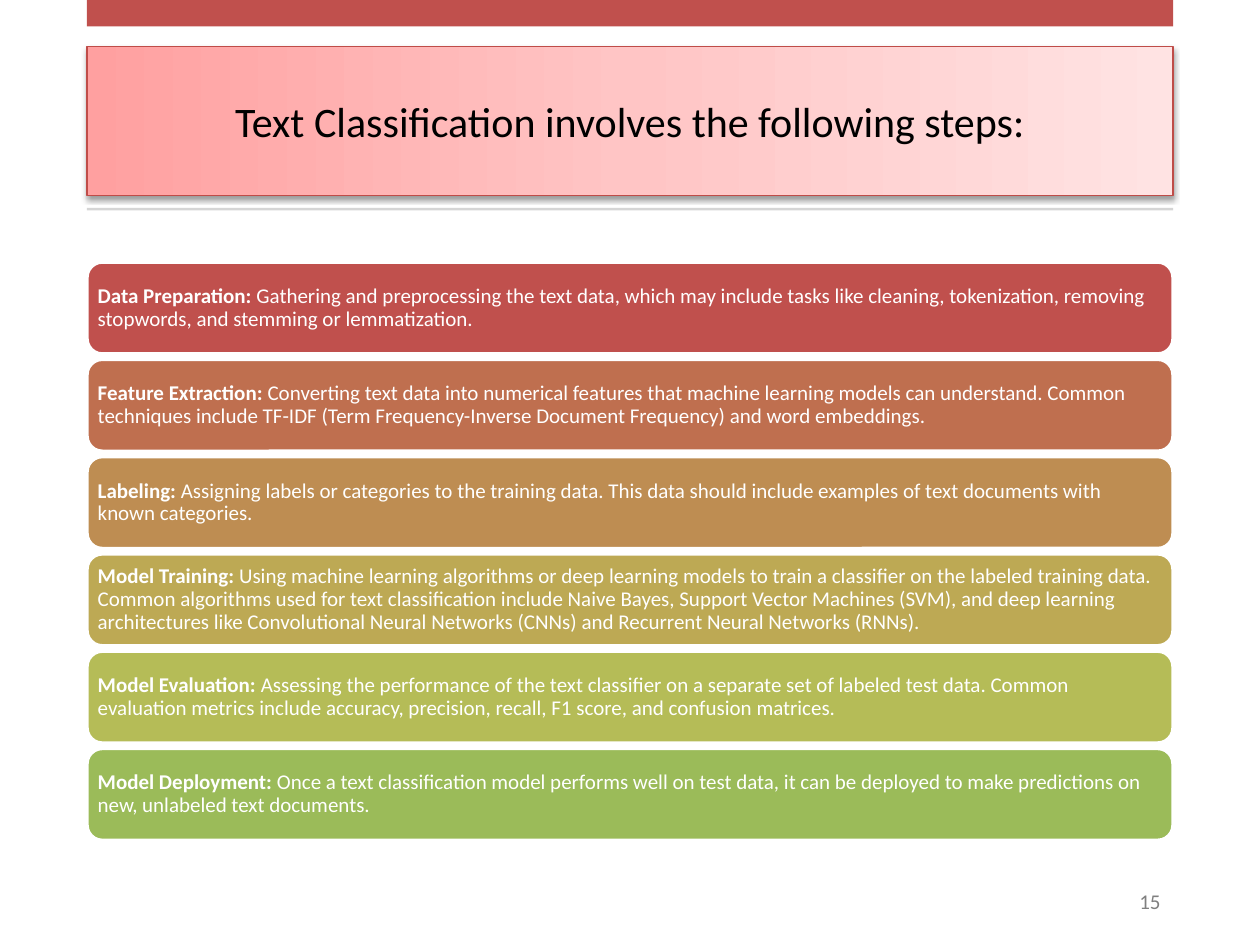
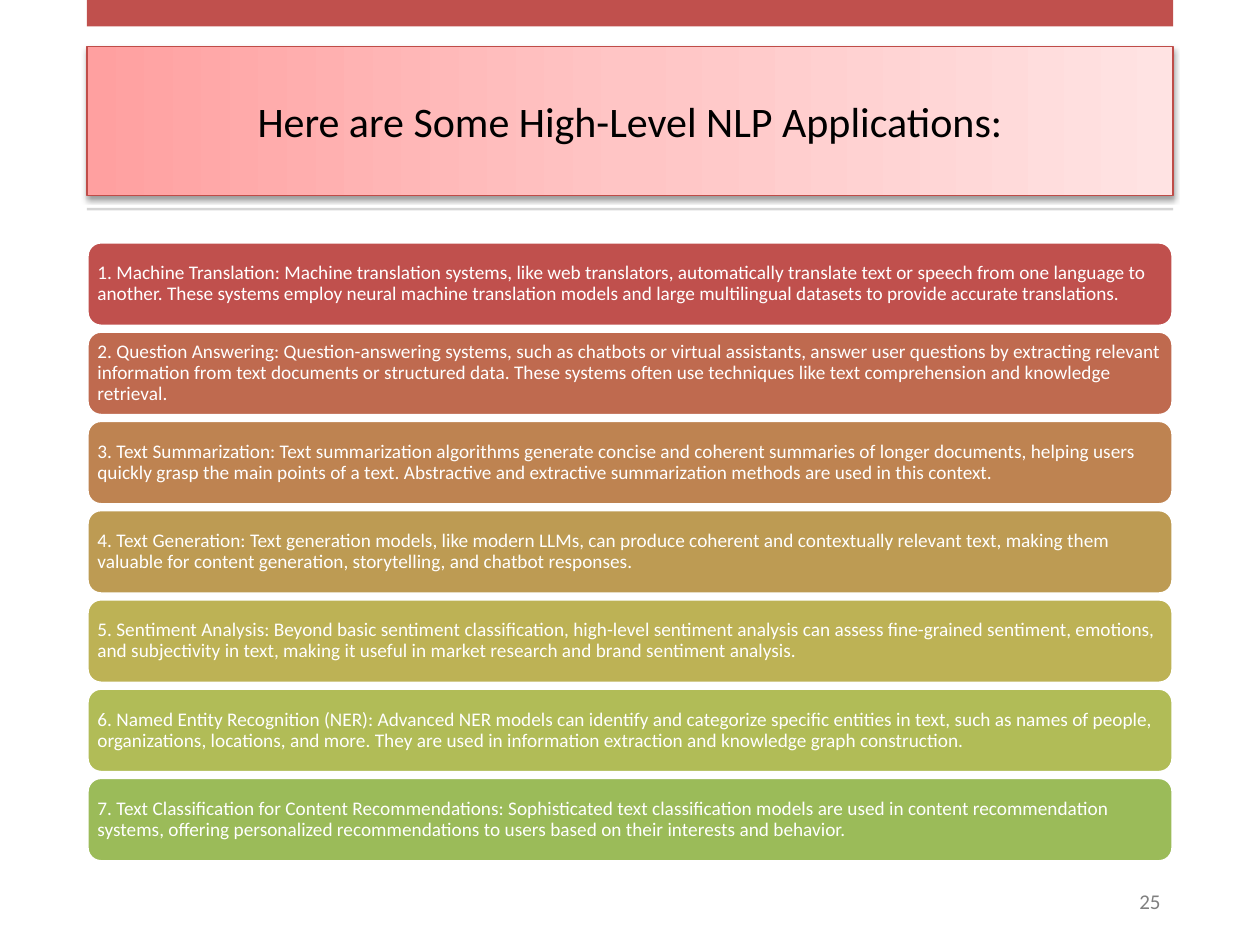
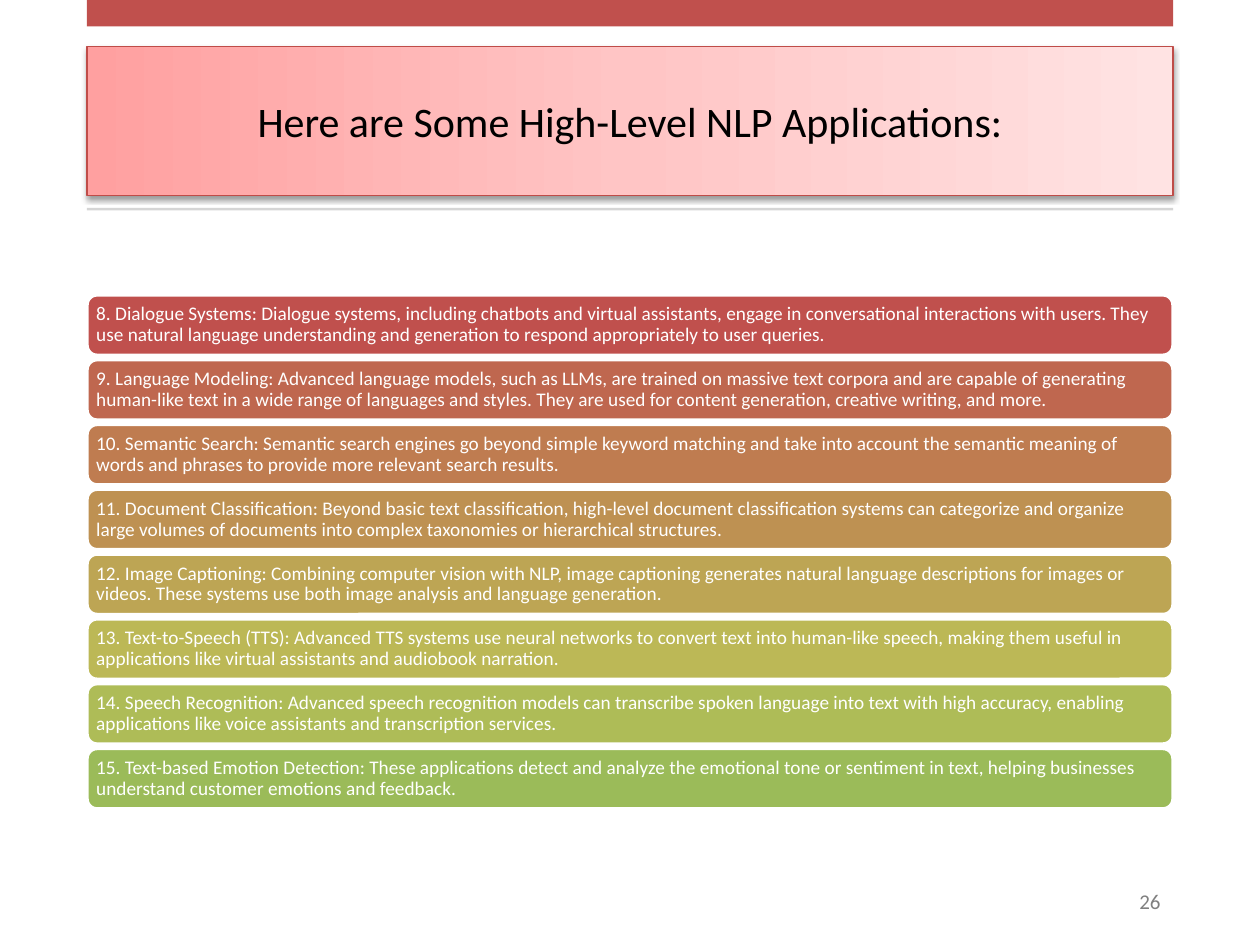
"""Build three slides of text classification steps and NLP applications."""
from colorsys import hls_to_rgb, rgb_to_hls
from dataclasses import dataclass

from lxml import etree
from pptx import Presentation
from pptx.dml.color import RGBColor
from pptx.enum.shapes import MSO_SHAPE
from pptx.enum.text import MSO_ANCHOR, PP_ALIGN
from pptx.oxml import parse_xml
from pptx.oxml.ns import nsdecls
from pptx.util import Inches, Pt

RECTANGLE = MSO_SHAPE.RECTANGLE
ROUNDED = MSO_SHAPE.ROUNDED_RECTANGLE
MIDDLE = MSO_ANCHOR.MIDDLE
LEFT, CENTER, RIGHT = PP_ALIGN.LEFT, PP_ALIGN.CENTER, PP_ALIGN.RIGHT


@dataclass(frozen=True)
class Theme:
    font: str = "Calibri"
    band: str = "C0504D"
    rule: str = "D5D5D5"
    title_text: str = "000000"
    title_line: str = "BF4C48"
    title_gradient: tuple = ((0, "FFA0A0"), (50, "FFC5C5"), (100, "FFE3E3"))
    first_card: str = "C0504D"
    last_card: str = "9BBB59"
    card_text: str = "FFFFFF"
    card_line: str = "FFFFFF"
    number_text: str = "808080"
    title_size: int = 24
    number_size: int = 12
    margin: float = 0.69
    width: float = 8.62


THEME = Theme()

SLIDES = [
    {
        "title": "Text Classification involves the following steps:",
        "number": "15", "top": 2.08, "bottom": 6.67, "card_height": 0.73,
        "text_size": 12, "bold_lead": True,
        "cards": [
            "Data Preparation: Gathering and preprocessing the text data, which may include tasks like cleaning, tokenization, removing stopwords, and stemming or lemmatization.",
            "Feature Extraction: Converting text data into numerical features that machine learning models can understand. Common techniques include TF-IDF (Term Frequency-Inverse Document Frequency) and word embeddings.",
            "Labeling: Assigning labels or categories to the training data. This data should include examples of text documents with known categories.",
            "Model Training: Using machine learning algorithms or deep learning models to train a classifier on the labeled training data. Common algorithms used for text classification include Naive Bayes, Support Vector Machines (SVM), and deep learning architectures like Convolutional Neural Networks (CNNs) and Recurrent Neural Networks (RNNs).",
            "Model Evaluation: Assessing the performance of the text classifier on a separate set of labeled test data. Common evaluation metrics include accuracy, precision, recall, F1 score, and confusion matrices.",
            "Model Deployment: Once a text classification model performs well on test data, it can be deployed to make predictions on new, unlabeled text documents.",
        ],
    },
    {
        "title": "Here are Some High-Level NLP Applications:",
        "number": "25", "top": 1.92, "bottom": 6.84, "card_height": 0.67,
        "text_size": 11, "bold_lead": False,
        "cards": [
            "1. Machine Translation: Machine translation systems, like web translators, automatically translate text or speech from one language to another. These systems employ neural machine translation models and large multilingual datasets to provide accurate translations.",
            "2. Question Answering: Question-answering systems, such as chatbots or virtual assistants, answer user questions by extracting relevant information from text documents or structured data. These systems often use techniques like text comprehension and knowledge retrieval.",
            "3. Text Summarization: Text summarization algorithms generate concise and coherent summaries of longer documents, helping users quickly grasp the main points of a text. Abstractive and extractive summarization methods are used in this context.",
            "4. Text Generation: Text generation models, like modern LLMs, can produce coherent and contextually relevant text, making them valuable for content generation, storytelling, and chatbot responses.",
            "5. Sentiment Analysis: Beyond basic sentiment classification, high-level sentiment analysis can assess fine-grained sentiment, emotions, and subjectivity in text, making it useful in market research and brand sentiment analysis.",
            "6. Named Entity Recognition (NER): Advanced NER models can identify and categorize specific entities in text, such as names of people, organizations, locations, and more. They are used in information extraction and knowledge graph construction.",
            "7. Text Classification for Content Recommendations: Sophisticated text classification models are used in content recommendation systems, offering personalized recommendations to users based on their interests and behavior.",
        ],
    },
    {
        "title": "Here are Some High-Level NLP Applications:",
        "number": "26", "top": 2.34, "bottom": 6.42, "card_height": 0.48,
        "text_size": 11, "bold_lead": False,
        "cards": [
            "8. Dialogue Systems: Dialogue systems, including chatbots and virtual assistants, engage in conversational interactions with users. They use natural language understanding and generation to respond appropriately to user queries.",
            "9. Language Modeling: Advanced language models, such as LLMs, are trained on massive text corpora and are capable of generating human-like text in a wide range of languages and styles. They are used for content generation, creative writing, and more.",
            "10. Semantic Search: Semantic search engines go beyond simple keyword matching and take into account the semantic meaning of words and phrases to provide more relevant search results.",
            "11. Document Classification: Beyond basic text classification, high-level document classification systems can categorize and organize large volumes of documents into complex taxonomies or hierarchical structures.",
            "12. Image Captioning: Combining computer vision with NLP, image captioning generates natural language descriptions for images or videos. These systems use both image analysis and language generation.",
            "13. Text-to-Speech (TTS): Advanced TTS systems use neural networks to convert text into human-like speech, making them useful in applications like virtual assistants and audiobook narration.",
            "14. Speech Recognition: Advanced speech recognition models can transcribe spoken language into text with high accuracy, enabling applications like voice assistants and transcription services.",
            "15. Text-based Emotion Detection: These applications detect and analyze the emotional tone or sentiment in text, helping businesses understand customer emotions and feedback.",
        ],
    },
]


def write_text(shape, text, *, size, color, align=LEFT, inset=None, line_spacing=None, bold_lead=False):
    frame = shape.text_frame
    frame.word_wrap = True
    frame.vertical_anchor = MIDDLE
    if inset is not None:
        frame.margin_left = frame.margin_right = Inches(inset)
        frame.margin_top = frame.margin_bottom = Inches(inset)
    paragraph = frame.paragraphs[0]
    paragraph.alignment = align
    if line_spacing:
        paragraph.line_spacing = line_spacing
    lead, colon, rest = text.partition(":")
    pieces = [(lead + colon, True), (rest, False)] if bold_lead else [(text, False)]
    for piece, bold in pieces:
        run = paragraph.add_run()
        run.text = piece
        run.font.name = THEME.font
        run.font.size = Pt(size)
        run.font.bold = bold
        run.font.color.rgb = RGBColor.from_string(color)


def add_block(slide, kind, top, height, fill=None, line=None, line_width=0):
    shape = slide.shapes.add_shape(
        kind, Inches(THEME.margin), Inches(top), Inches(THEME.width), Inches(height))
    shape.shadow.inherit = False
    if fill:
        shape.fill.solid()
        shape.fill.fore_color.rgb = fill
    if line:
        shape.line.color.rgb = RGBColor.from_string(line)
        shape.line.width = Pt(line_width)
    else:
        shape.line.fill.background()
    return shape


presentation = Presentation()
presentation.slide_width = Inches(10)
presentation.slide_height = Inches(7.5)
first_hls, last_hls = (
    rgb_to_hls(*(channel / 255 for channel in RGBColor.from_string(color)))
    for color in (THEME.first_card, THEME.last_card))

for content in SLIDES:
    slide = presentation.slides.add_slide(presentation.slide_layouts[6])

    title = add_block(slide, RECTANGLE, 0.37, 1.18, line=THEME.title_line, line_width=0.75)
    title.fill.gradient()
    title.fill.gradient_angle = 0
    stops = title.fill._fill._gradFill.gsLst
    for stop in list(stops):
        stops.remove(stop)
    for position, color in THEME.title_gradient:
        stops.append(parse_xml(
            f'<a:gs {nsdecls("a")} pos="{position * 1000}"><a:srgbClr val="{color}"/></a:gs>'))
    effects = title._element.spPr.find("{*}effectLst")
    effects.append(etree.fromstring(
        f'<a:outerShdw {nsdecls("a")} blurRad="{Pt(3.1)}" dist="{Pt(1.6)}" dir="5400000" rotWithShape="0">'
        '<a:srgbClr val="000000"><a:alpha val="38000"/></a:srgbClr></a:outerShdw>'))
    write_text(title, content["title"], size=THEME.title_size, color=THEME.title_text, align=CENTER)

    add_block(slide, RECTANGLE, 0, 0.21, RGBColor.from_string(THEME.band))
    add_block(slide, RECTANGLE, 1.65, 0.02, RGBColor.from_string(THEME.rule))

    number = slide.shapes.add_textbox(Inches(7.15), Inches(6.95), Inches(2.16), Inches(0.4))
    write_text(number, content["number"], size=THEME.number_size, color=THEME.number_text, align=RIGHT)

    last_index = len(content["cards"]) - 1
    pitch = (content["bottom"] - content["top"] - content["card_height"]) / last_index
    for index, text in enumerate(content["cards"]):
        share = index / last_index
        hls = (start + (end - start) * share for start, end in zip(first_hls, last_hls))
        fill = RGBColor(*(round(channel * 255) for channel in hls_to_rgb(*hls)))
        card = add_block(slide, ROUNDED, content["top"] + index * pitch, content["card_height"],
                         fill, THEME.card_line, 2)
        write_text(card, text, size=content["text_size"], color=THEME.card_text, inset=0.05,
                   line_spacing=0.9, bold_lead=content["bold_lead"])

presentation.save("out.pptx")
